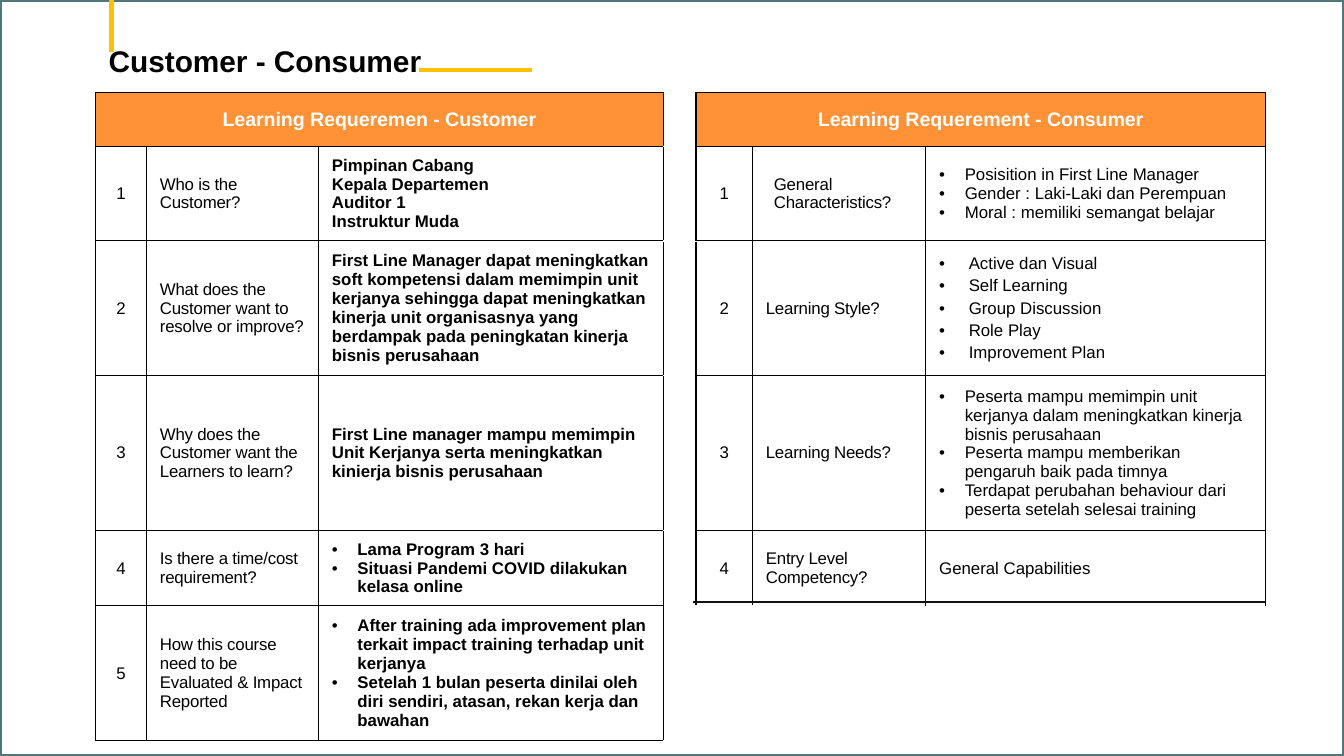
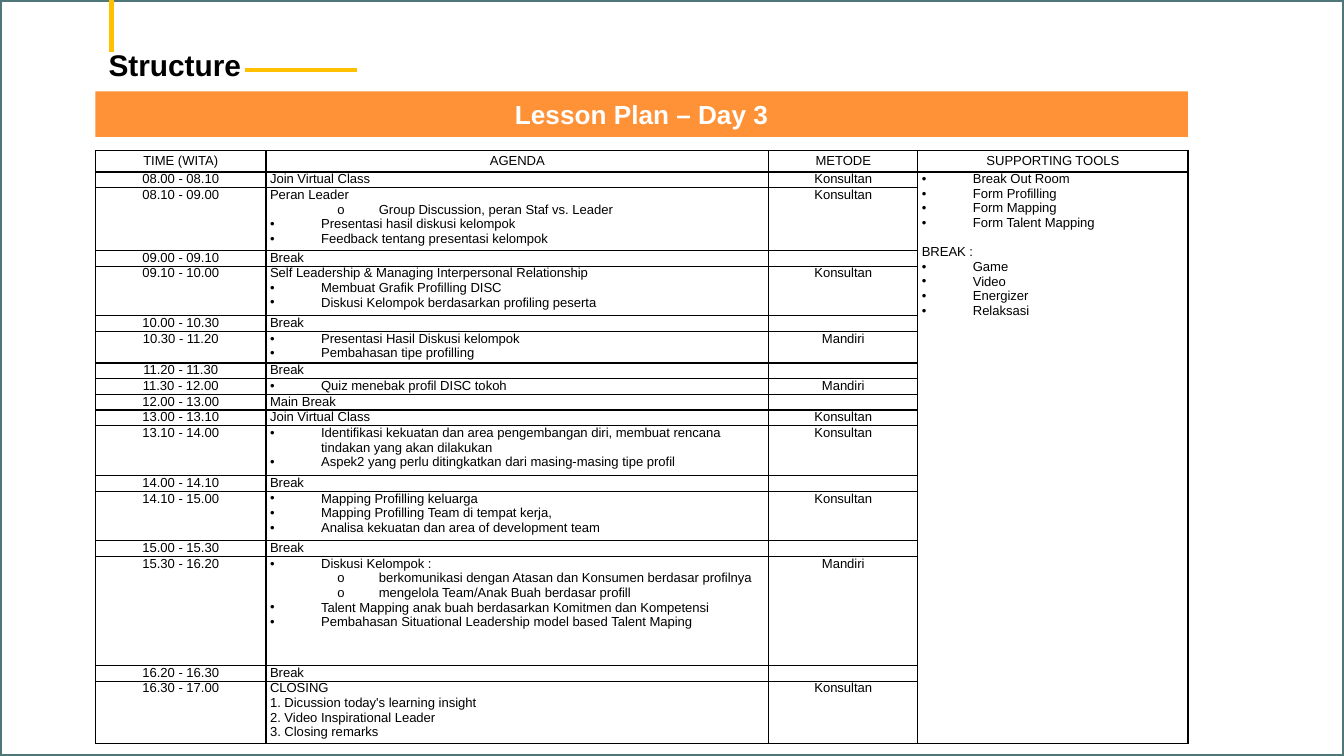
from lxml import etree
from pptx import Presentation, util as u
from pptx.dml.color import RGBColor
from pptx.enum import shapes, text
from pptx.oxml.ns import qn

BACKDROP = RGBColor(0x6B, 0x9F, 0xA4)
FRAME = RGBColor(0x4F, 0x76, 0x79)
YELLOW = RGBColor(0xFF, 0xC0, 0x00)
ORANGE = RGBColor(0xFF, 0x92, 0x37)
WHITE = RGBColor(0xFF, 0xFF, 0xFF)
BLACK = RGBColor(0, 0, 0)
RULE = RGBColor(0x11, 0x11, 0x11)
FONT = "Arial"
NO_STYLE = "{2D5ABB26-0587-4C30-8999-92F81FD0307C}"
CENTER = text.PP_ALIGN.CENTER
MIDDLE = text.MSO_ANCHOR.MIDDLE
GRID = {side: (BLACK, 0.75) for side in "LRTB"}
GAP = {**GRID, "T": (WHITE, 1), "B": (WHITE, 1)}

CUSTOMER = [
    ("Who is the Customer?",
     ["Pimpinan Cabang", "Kepala Departemen", "Auditor 1", "Instruktur Muda"]),
    ("What does the Customer want to resolve or improve?",
     ["First Line Manager dapat meningkatkan soft kompetensi dalam memimpin unit "
      "kerjanya sehingga dapat meningkatkan kinerja unit organisasnya yang "
      "berdampak pada peningkatan kinerja bisnis perusahaan"]),
    ("Why does the Customer want the Learners to learn?",
     ["First Line manager mampu memimpin Unit Kerjanya serta meningkatkan "
      "kinierja bisnis perusahaan"]),
    ("Is there a time/cost requirement?",
     ["• Lama Program 3 hari", "• Situasi Pandemi COVID dilakukan kelasa online"]),
    ("How this course need to be Evaluated & Impact Reported",
     ["• After training ada improvement plan terkait impact training terhadap "
      "unit kerjanya",
      "• Setelah 1 bulan peserta dinilai oleh diri sendiri, atasan, rekan kerja "
      "dan bawahan"]),
]
CONSUMER = [
    ("General Characteristics?",
     ["• Posisition in First Line Manager", "• Gender : Laki-Laki dan Perempuan",
      "• Moral : memiliki semangat belajar"]),
    ("Learning Style?",
     ["• Active dan Visual", "• Self Learning", "• Group Discussion",
      "• Role Play", "• Improvement Plan"]),
    ("Learning Needs?",
     ["• Peserta mampu memimpin unit kerjanya dalam meningkatkan kinerja bisnis "
      "perusahaan",
      "• Peserta mampu memberikan pengaruh baik pada timnya",
      "• Terdapat perubahan behaviour dari peserta setelah selesai training"]),
    ("Entry Level Competency?", ["General Capabilities"]),
]
HEADINGS = ["TIME (WITA)", "AGENDA", "METODE", "SUPPORTING TOOLS"]
# Time, agenda, method, least row height
AGENDA = [
    ("08.00 - 08.10", ["Join Virtual Class"], "Konsultan", 0.1),
    ("08.10 - 09.00",
     ["Peran Leader", "o Group Discussion, peran Staf vs. Leader",
      "• Presentasi hasil diskusi kelompok",
      "• Feedback tentang presentasi kelompok"], "Konsultan", 0.44),
    ("09.00 - 09.10", ["Break"], "", 0.1),
    ("09.10 - 10.00",
     ["Self Leadership & Managing Interpersonal Relationship",
      "• Membuat Grafik Profilling DISC",
      "• Diskusi Kelompok berdasarkan profiling peserta"], "Konsultan", 0.37),
    ("10.00 - 10.30", ["Break"], "", 0.1),
    ("10.30 - 11.20",
     ["• Presentasi Hasil Diskusi kelompok", "• Pembahasan tipe profilling"],
     "Mandiri", 0.15),
    ("11.20 - 11.30", ["Break"], "", 0.1),
    ("11.30 - 12.00", ["• Quiz menebak profil DISC tokoh"], "Mandiri", 0.1),
    ("12.00 - 13.00", ["Main Break"], "", 0.1),
    ("13.00 - 13.10", ["Join Virtual Class"], "Konsultan", 0.1),
    ("13.10 - 14.00",
     ["• Identifikasi kekuatan dan area pengembangan diri, membuat rencana "
      "tindakan yang akan dilakukan",
      "• Aspek2 yang perlu ditingkatkan dari masing-masing tipe profil"],
     "Konsultan", 0.37),
    ("14.00 - 14.10", ["Break"], "", 0.1),
    ("14.10 - 15.00",
     ["• Mapping Profilling keluarga", "• Mapping Profilling Team di tempat kerja,",
      "• Analisa kekuatan dan area of development team"], "Konsultan", 0.37),
    ("15.00 - 15.30", ["Break"], "", 0.1),
    ("15.30 - 16.20",
     ["• Diskusi Kelompok :",
      "o berkomunikasi dengan Atasan dan Konsumen berdasar profilnya",
      "o mengelola Team/Anak Buah berdasar profill",
      "• Talent Mapping anak buah berdasarkan Komitmen dan Kompetensi",
      "• Pembahasan Situational Leadership model based Talent Maping"],
     "Mandiri", 0.81),
    ("16.20 - 16.30", ["Break"], "", 0.1),
    ("16.30 - 17.00",
     ["CLOSING", "1. Dicussion today's learning insight",
      "2. Video Inspirational Leader", "3. Closing remarks"], "Konsultan", 0.29),
]
TOOLS = ["• Break Out Room", "• Form Profilling", "• Form Mapping",
         "• Form Talent Mapping", "BREAK :", "• Game", "• Video", "• Energizer",
         "• Relaksasi"]


def add_bullet(para, mark, left, hang):
    properties = para._p.get_or_add_pPr()
    properties.set("marL", str(u.Inches(left)))
    properties.set("indent", str(-u.Inches(hang)))
    color = etree.SubElement(properties, qn("a:buClr"))
    etree.SubElement(color, qn("a:srgbClr"), val=str(BLACK))
    etree.SubElement(properties, qn("a:buFont"), typeface=FONT)
    etree.SubElement(properties, qn("a:buChar"), char=mark)


def write(frame, lines, size=9, color=BLACK, bold=False, align=None,
          bullet=0.19, spacing=None, gap=0, left=0):
    """Fill a text frame; a line that starts with "• " or "o " becomes a bullet."""
    lines = [lines] if isinstance(lines, str) else lines
    for index, line in enumerate(lines):
        para = frame.paragraphs[0] if index == 0 else frame.add_paragraph()
        mark, _, rest = line.partition(" ")
        if mark == "•":
            add_bullet(para, mark, bullet, bullet)
            line = rest
        elif mark == "o":
            para.level = 1
            add_bullet(para, mark, 0.81, 0.31)
            line = rest
        elif left:
            para._p.get_or_add_pPr().set("marL", str(u.Inches(left)))
        if align is not None:
            para.alignment = align
        if gap and index:
            para.space_before = u.Pt(gap)
        if not line:
            etree.SubElement(para._p, qn("a:endParaRPr"), sz=str(size * 100))
            continue
        span = para.add_run()
        span.text = line
        span.font.name, span.font.size = FONT, u.Pt(size)
        span.font.bold, span.font.color.rgb = bold, color
        if spacing:
            span.font._element.set("spc", str(spacing))


def draw_borders(cell, borders):
    """Borders maps the sides L, R, T and B to a colour and a width."""
    properties = cell._tc.get_or_add_tcPr()
    for side in "LRTB":
        line = etree.SubElement(properties, qn(f"a:ln{side}"))
        if side in borders:
            color, width = borders[side]
            line.set("w", str(u.Pt(width)))
            fill = etree.SubElement(line, qn("a:solidFill"))
            etree.SubElement(fill, qn("a:srgbClr"), val=str(color))
        else:
            etree.SubElement(line, qn("a:noFill"))


class Builder:
    """Holds the deck, its shared style and the current slide."""

    def __init__(self):
        self.deck = Presentation()
        self.deck.slide_width = u.Inches(10)
        self.deck.slide_height = u.Inches(10 * 9 / 16)
        self.slide = None

    def page(self, title, top, rule_left):
        self.slide = self.deck.slides.add_slide(self.deck.slide_layouts[6])
        backdrop = self.slide.background.fill
        backdrop.solid()
        backdrop.fore_color.rgb = BACKDROP
        self.rect(0, 0, 10, self.deck.slide_height.inches, WHITE, FRAME)
        self.line(0.83, 0, 0.83, 0.39)
        box = self.slide.shapes.add_textbox(
            *map(u.Inches, (0.71, top, 2.65, 0.37)))
        box.text_frame.word_wrap = True
        box.text_frame.auto_size = text.MSO_AUTO_SIZE.SHAPE_TO_FIT_TEXT
        write(box.text_frame, title, size=16, bold=True)
        self.line(rule_left, 0.52, rule_left + 0.84, 0.52)

    def rect(self, left, top, width, height, fill, outline=None):
        box = self.slide.shapes.add_shape(
            shapes.MSO_SHAPE.RECTANGLE,
            *map(u.Inches, (left, top, width, height)))
        box.shadow.inherit = False
        box.fill.solid()
        box.fill.fore_color.rgb = fill
        if outline is None:
            box.line.fill.background()
        else:
            box.line.color.rgb, box.line.width = outline, u.Pt(2)
        return box

    def line(self, x1, y1, x2, y2, color=YELLOW, width=2.25):
        line = self.slide.shapes.add_connector(
            shapes.MSO_CONNECTOR.STRAIGHT, *map(u.Inches, (x1, y1, x2, y2)))
        line.line.color.rgb, line.line.width = color, u.Pt(width)
        etree.SubElement(line._element.spPr, qn("a:effectLst"))

    def table(self, left, top, height, columns, rows, border_rule):
        """Add an unstyled table; border_rule(row, column) gives each cell's borders."""
        frame = self.slide.shapes.add_table(
            len(rows), len(columns),
            *map(u.Inches, (left, top, sum(columns), height)))
        table = frame.table
        table.first_row = table.horz_banding = False
        table._tbl.tblPr.find(qn("a:tableStyleId")).text = NO_STYLE
        for column, width in zip(table.columns, columns):
            column.width = u.Inches(width)
        for r, row_height in enumerate(rows):
            table.rows[r].height = u.Inches(row_height)
            for c in range(len(columns)):
                draw_borders(table.cell(r, c), border_rule(r, c))
                table.cell(r, c).fill.background()
        frame.height = u.Inches(height)
        return table


def requirement_borders(row, column):
    if row == 5 and column > 3:
        return {"T": (WHITE, 1)} if column == 4 else {}
    if column == 3:
        sides = {4: "LTR", 5: "LB"}.get(row, "LRTB")
        return {side: GAP[side] for side in sides}
    if row == 4 and column > 3:
        borders = {side: GRID[side] for side in "LRT"}
        return {**borders, "B": (WHITE, 1)} if column == 4 else borders
    return GRID


def requirements_slide(builder):
    builder.page("Customer - Consumer", 0.27, 3.12)
    table = builder.table(0.71, 0.69, 4.81,
                          [0.38, 1.28, 2.57, 0.23, 0.42, 1.29, 2.53],
                          [0.4, 0.7, 1, 1.15, 0.56, 1], requirement_borders)
    for row in range(6):
        write(table.cell(row, 3).text_frame, "")
    halves = [(0, "Learning Requeremen - Customer", CUSTOMER, True),
              (4, "Learning Requerement - Consumer", CONSUMER, False)]
    for first, heading, entries, bold in halves:
        head = table.cell(0, first)
        head.merge(table.cell(0, first + 2))
        head.fill.solid()
        head.fill.fore_color.rgb = ORANGE
        head.vertical_anchor = MIDDLE
        write(head.text_frame, heading, size=10.5, color=WHITE, bold=True,
              align=CENTER)
        for row, (question, answer) in enumerate(entries, 1):
            number, asked, given = (table.cell(row, first + i) for i in range(3))
            for cell in (number, asked, given):
                cell.vertical_anchor = MIDDLE
            write(number.text_frame, str(row), align=CENTER)
            write(asked.text_frame, question, spacing=-10,
                  left=0.06 if question.startswith("General") else 0)
            roomy = question == "Learning Style?"
            write(given.text_frame, answer, bold=bold,
                  bullet=0.22 if roomy else 0.19, gap=1.8 if roomy else 0)
    builder.line(5.16, 4.48, 9.41, 4.48, RULE, 0.75)


def lesson_slide(builder):
    builder.page("Structure", 0.3, 1.82)
    band = builder.rect(0.71, 0.68, 8.13, 0.34, ORANGE)
    band.text_frame.vertical_anchor = MIDDLE
    write(band.text_frame, "Lesson Plan – Day 3", size=14, color=WHITE, bold=True,
          align=CENTER)
    rows = [0.16] + [entry[3] for entry in AGENDA]
    table = builder.table(0.71, 1.12, 4.4, [1.27, 3.74, 1.11, 2.01], rows,
                          lambda row, column: GRID)
    for cell in table.iter_cells():
        cell.margin_left = cell.margin_right = u.Inches(0.03)
        cell.margin_top = cell.margin_bottom = 0
    for column, heading in enumerate(HEADINGS):
        cell = table.cell(0, column)
        cell.vertical_anchor = MIDDLE
        write(cell.text_frame, heading, size=7, align=CENTER)
    for row, (time, agenda, method, _) in enumerate(AGENDA, 1):
        for column, content in enumerate((time, agenda, method)):
            write(table.cell(row, column).text_frame, content, size=7,
                  align=None if column == 1 else CENTER, bullet=0.38)
    tools = table.cell(1, 3)
    tools.merge(table.cell(len(AGENDA), 3))
    write(tools.text_frame, TOOLS, size=7, bullet=0.38)
    tools.text_frame.paragraphs[TOOLS.index("BREAK :")].space_before = u.Pt(8)


def main():
    builder = Builder()
    requirements_slide(builder)
    lesson_slide(builder)
    builder.deck.save("out.pptx")


if __name__ == "__main__":
    main()
